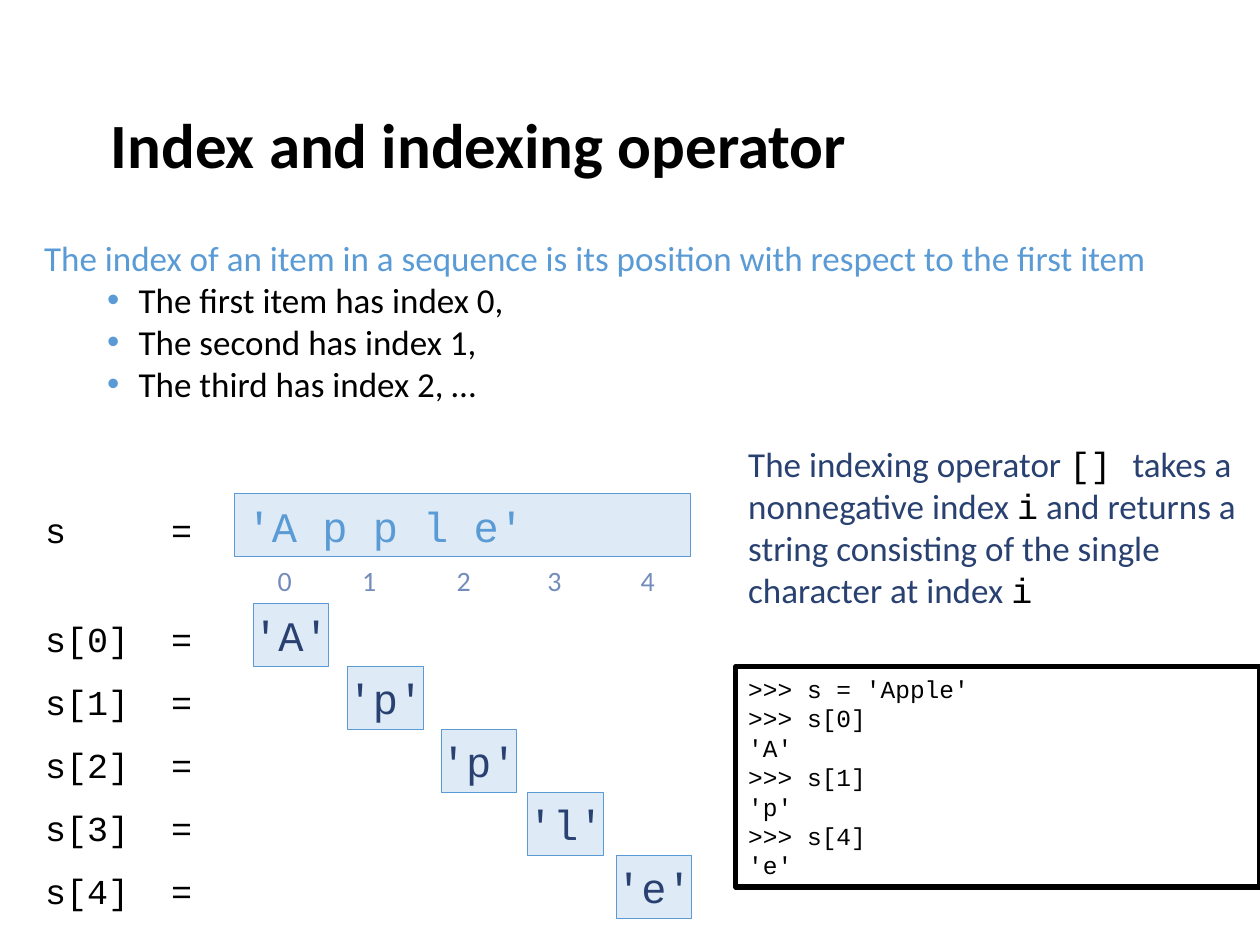
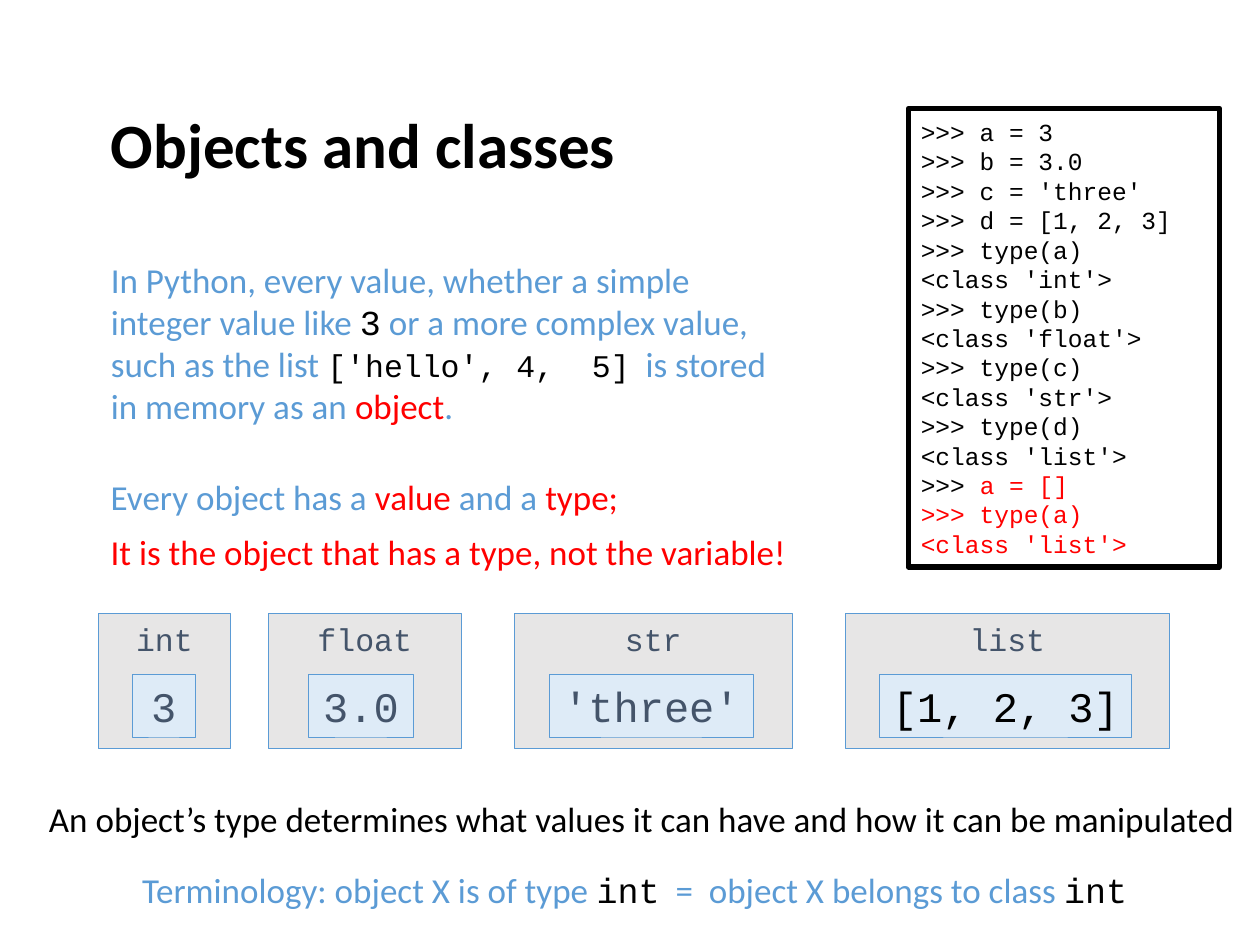
"""Build two slides on Python indexing, objects and classes."""
from lxml import etree
from pptx import Presentation
from pptx import util as u
from pptx.dml import color
from pptx.enum import shapes, text
from pptx.oxml import ns

C = {"black": "000000", "white": "FFFFFF", "blue": "5B9BD5", "pale": "DEEBF7",
     "navy": "294171", "index": "748CBC", "grey": "E7E6E6", "slate": "44546A",
     "red": "FF0000"}
SANS, MONO = "Calibri", "Courier New"
ALIGN, ANCHOR = text.PP_ALIGN, text.MSO_ANCHOR


def rgb(name):
    """Return the palette colour of that name."""
    return color.RGBColor.from_string(C[name])


def place(sp, left, top, width, height):
    """Move and size a shape, in inches."""
    sp.left, sp.top = u.Inches(left), u.Inches(top)
    sp.width, sp.height = u.Inches(width), u.Inches(height)


def add_run(p, words, tint="black", font=SANS, size=20, bold=False):
    """Append one formatted run to a paragraph."""
    r = p.add_run()
    r.text = words
    r.font.name, r.font.size, r.font.bold = font, u.Pt(size), bold
    r.font.color.rgb = rgb(tint)


def fill_text(sp, lines, align=ALIGN.LEFT, anchor=ANCHOR.MIDDLE, wrap=True):
    """Write lines, each a list of run argument tuples, into a shape."""
    tf = sp.text_frame
    tf.word_wrap, tf.vertical_anchor = wrap, anchor
    tf.auto_size = text.MSO_AUTO_SIZE.NONE
    for i, runs in enumerate(lines):
        p = tf.paragraphs[0] if i == 0 else tf.add_paragraph()
        p.alignment = align
        p.space_before = p.space_after = u.Pt(0)
        for run in runs:
            add_run(p, *run)
    return tf


def set_bullet(p, level):
    """Give a top-level line no bullet and a second-level line a blue one."""
    p.level = level
    pPr = p._p.get_or_add_pPr()
    pPr.set("marL", str(u.Inches(0.75 * level)))
    pPr.set("indent", str(u.Inches(-0.25 * level)))
    if level:
        clr = etree.SubElement(pPr, ns.qn("a:buClr"))
        etree.SubElement(clr, ns.qn("a:srgbClr"), val=C["blue"])
        etree.SubElement(pPr, ns.qn("a:buFont"), typeface="Arial")
        etree.SubElement(pPr, ns.qn("a:buChar"), char="•")
    else:
        etree.SubElement(pPr, ns.qn("a:buNone"))


def add_slide(prs, title):
    """Add a slide with the shared title style."""
    s = prs.slides.add_slide(prs.slide_layouts[1])
    place(s.shapes.title, 0.78, 0, 8.5, 1.61)
    tf = fill_text(s.shapes.title, [[(title, "black", SANS, 36, True)]],
                   anchor=ANCHOR.BOTTOM)
    tf.margin_bottom = u.Inches(0.17)
    return s


def add_body(s, box, lines):
    """Fill the body placeholder, indenting every line after the first."""
    sp = s.placeholders[1]
    place(sp, *box)
    tf = fill_text(sp, lines)
    for i, p in enumerate(tf.paragraphs):
        set_bullet(p, min(i, 1))


def add_label(s, box, runs, align=ALIGN.LEFT, wrap=True):
    """Add a one-paragraph text box."""
    sp = s.shapes.add_textbox(*map(u.Inches, box))
    return fill_text(sp, [runs], align, wrap=wrap)


def add_box(s, box, lines, fill="pale", line="blue", weight=0.5, **layout):
    """Add an outlined rectangle with text."""
    sp = s.shapes.add_shape(shapes.MSO_SHAPE.RECTANGLE, *map(u.Inches, box))
    sp.shadow.inherit = False
    sp.fill.solid()
    sp.fill.fore_color.rgb = rgb(fill)
    sp.line.color.rgb = rgb(line)
    sp.line.width = u.Pt(weight)
    fill_text(sp, lines, **layout)


def add_console(s, box, lines):
    """Add a black-framed interpreter session."""
    add_box(s, box, [[(words, tint, MONO, 14) for words, tint in runs]
                     for runs in lines], "white", "black", 3)


def add_equation(s, top, name):
    """Add a name and an equals sign aligned on a tab stop."""
    tf = add_label(s, (0.26, top, 1.38, 0.44), [(name + "\t=", "black", MONO)])
    tabs = etree.SubElement(tf.paragraphs[0]._p.get_or_add_pPr(), ns.qn("a:tabLst"))
    etree.SubElement(tabs, ns.qn("a:tab"), pos=str(u.Inches(1)), algn="l")


def add_object(s, left, width, kind, value_box, value, tint="slate"):
    """Add a class box that holds its value box."""
    add_box(s, (left, 4.87, width, 1.07), [[(kind, "slate", MONO, 18)]], "grey",
            align=ALIGN.CENTER, anchor=ANCHOR.TOP)
    add_box(s, (value_box[0], 5.35, value_box[1], 0.5), [[(value, tint, MONO, 24)]],
            align=ALIGN.CENTER, wrap=False)


def build_indexing(prs):
    """Build the slide on the indexing operator."""
    s = add_slide(prs, "Index and indexing operator")
    add_body(s, (0.25, 1.82, 9.27, 1.45), [
        [("The index of an item in a sequence is its position with respect "
          "to the first item", "blue")],
        [("The first item has index 0,",)],
        [("The second has index 1,",)],
        [("The third has index 2, …",)]])

    add_equation(s, 3.98, "s")
    add_box(s, (1.86, 3.92, 3.62, 0.5), [[("'A p p l e'", "blue", MONO, 24)]],
            align=ALIGN.JUSTIFY)
    cells = [2.01, 2.76, 3.5, 4.19, 4.89]
    centres = [2.26, 2.93, 3.68, 4.4, 5.14]
    for i, (letter, left, centre) in enumerate(zip("Apple", cells, centres)):
        add_label(s, (centre - 0.3, 4.42, 0.6, 0.37),
                  [(str(i), "index", SANS, 16)], ALIGN.CENTER)
        add_equation(s, 4.85 + i * 0.5, f"s[{i}]")
        add_box(s, (left, 4.79 + i * 0.5, 0.6, 0.5),
                [[(f"'{letter}'", "navy", MONO, 24)]],
                align=ALIGN.CENTER, wrap=False)

    add_label(s, (5.84, 3.45, 4.17, 1.45), [
        ("The indexing operator ", "navy"), ("[] ", "black", MONO),
        ("takes a nonnegative index ", "navy"), ("i", "black", MONO),
        (" and returns a string consisting of the single character at index ",
         "navy"), ("i", "black", MONO)])
    session = [">>> s = 'Apple'", ">>> s[0]", "'A'", ">>> s[1]", "'p'",
               ">>> s[4]", "'e'"]
    add_console(s, (5.84, 5.29, 4.16, 1.75), [[(row, "black")] for row in session])


def build_objects(prs):
    """Build the slide on objects and classes."""
    s = add_slide(prs, "Objects and classes")
    add_body(s, (0.78, 1.99, 5.52, 1.45), [[
        ("In Python, every value, whether a simple integer value like ", "blue"),
        ("3", "black", MONO),
        (" or a more complex value, such as the list ", "blue"),
        ("['hello', 4,\u00a0 5]", "black", MONO, 18),
        ("\u00a0 is stored in memory as an ", "blue"),
        ("object", "red"), (".", "blue")]])
    add_label(s, (0.78, 3.72, 4.35, 0.44), [
        ("Every object has a ", "blue"), ("value ", "red"),
        ("and a ", "blue"), ("type;", "red")])
    add_label(s, (0.78, 4.16, 5.61, 0.44), [
        ("It is the object that has a type, not the variable!", "red")], wrap=False)

    session = [">>> a = 3", ">>> b = 3.0", ">>> c = 'three'", ">>> d = [1, 2, 3]"]
    for name, kind in zip("abcd", ["int", "float", "str", "list"]):
        session += [f">>> type({name})", f"<class '{kind}'>"]
    add_console(s, (7.21, 0.86, 2.47, 3.64),
                [[(row, "black")] for row in session]
                + [[(">>> ", "black"), ("a = []", "red")],
                   [(">>> type(a)", "red")], [("<class 'list'>", "red")]])

    add_object(s, 0.78, 1.05, "int", (1.05, 0.5), "3")
    add_object(s, 2.13, 1.53, "float", (2.45, 0.83), "3.0")
    add_object(s, 4.08, 2.21, "str", (4.36, 1.62), "'three'")
    add_object(s, 6.71, 2.57, "list", (6.98, 2), "[1, 2, 3]", "black")

    add_label(s, (0.29, 6.28, 9.72, 0.44), [
        ("An object’s type determines what values it can have and how it can be "
         "manipulated",)], wrap=False)
    add_label(s, (1.03, 6.84, 8.2, 0.44), [
        ("Terminology: object X is of type ", "blue"), ("int", "black", MONO),
        ("  =  object X belongs to class ", "blue"), ("int", "black", MONO)],
        wrap=False)


def main():
    """Build and save the presentation."""
    prs = Presentation()
    prs.slide_width, prs.slide_height = u.Inches(10), u.Inches(7.5)
    build_indexing(prs)
    build_objects(prs)
    prs.save("out.pptx")


main()
